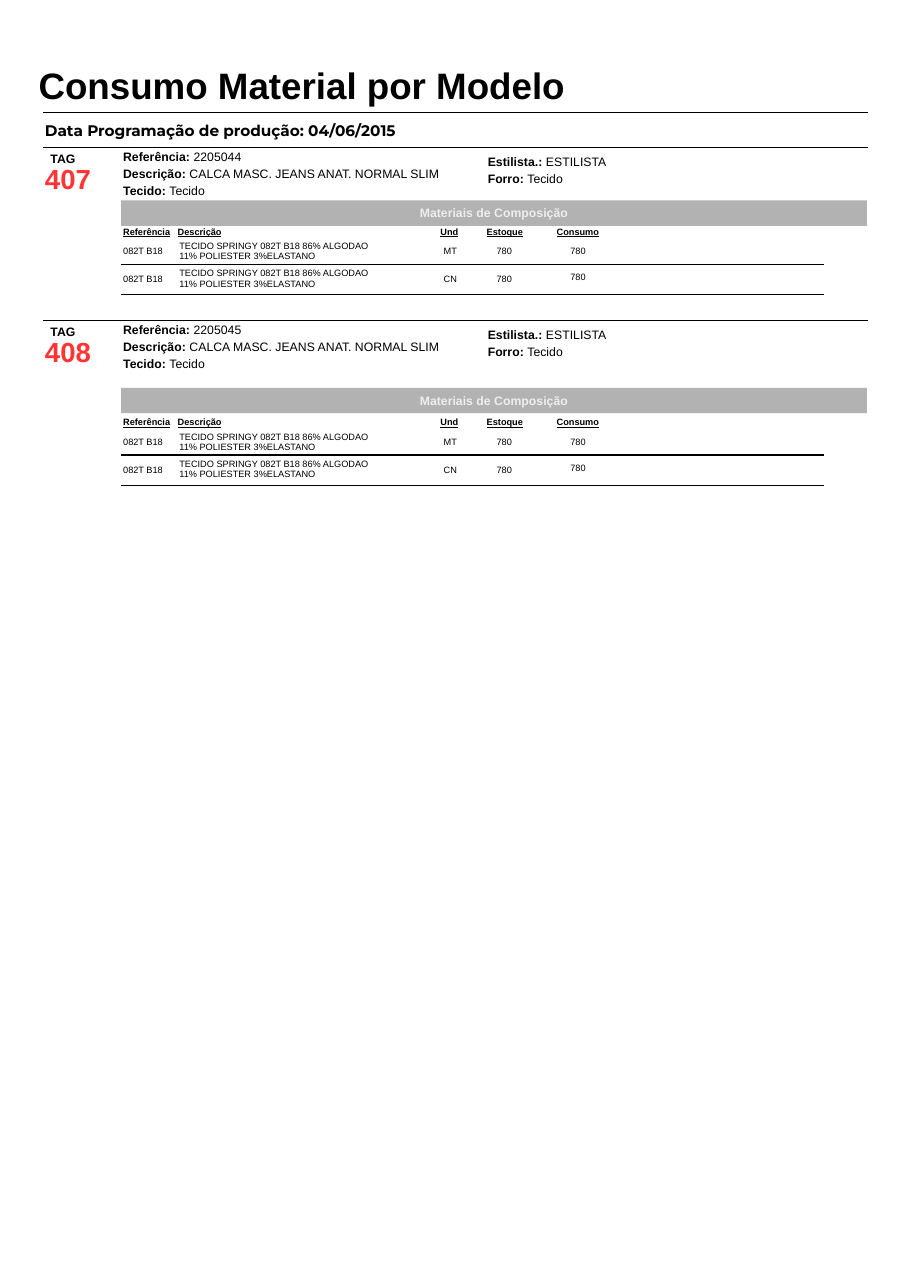
from pptx import Presentation
from pptx import util as u
from pptx.dml.color import RGBColor
from pptx.enum import shapes, text
from pptx.oxml.ns import qn
from lxml import etree

CELL = 0.1  # grid unit in inches: all places are columns and rows of it
PAGE_COLS, PAGE_ROWS = 82.7, 116.9
RULE_LEFT, RULE_RIGHT = 3.9, 78.8
TABLE_LEFT, TABLE_RIGHT = 11, 74.8
ROW_STEP = 2.5

TITLE = dict(name="Arial", size=u.Pt(24), bold=True)
DATE = dict(name="Montserrat", size=u.Pt(10), bold=True)
NUMBER = dict(name="Arial", size=u.Pt(18), bold=True)
LABEL = dict(name="Arial", size=u.Pt(8), bold=True)
VALUE = dict(LABEL, bold=False)
HEADING = dict(name="Arial", size=u.Pt(6), bold=True, underline=True)
ENTRY = dict(name="Arial", size=u.Pt(6))

HEADINGS = ["Referência", "Descrição", "Und", "Estoque", "Consumo"]
HEADING_STOPS = [4.95, 28.8, 33, 39.35]
FABRIC = "TECIDO SPRINGY 082T B18 86% ALGODAO 11% POLIESTER 3%ELASTANO"
UNITS = ["MT", "CN"]

# number, reference, top rule, bar offset, heading offset below the bar
MODELS = [
    ("407", "2205044", 13.4, 4.8, 1.9),
    ("408", "2205045", 29.1, 6.1, 2.2),
]


def grid(cells):
    return u.Inches(cells * CELL)


def colour(value):
    return RGBColor.from_string(value)


def write(frame, runs, inset_top=0.6, inset_side=1, ink="000000", stops=()):
    frame.margin_left = frame.margin_right = grid(inset_side)
    frame.margin_top, frame.margin_bottom = grid(inset_top), grid(0.5)
    line = frame.paragraphs[0]
    line.line_spacing = 0.93
    if stops:
        tabs = etree.SubElement(line._p.get_or_add_pPr(), qn("a:tabLst"))
        for stop in stops:
            etree.SubElement(tabs, qn("a:tab"), pos=str(grid(stop)), algn="l")
    for words, style in runs:
        run = line.add_run()
        run.text = words
        for key, setting in style.items():
            setattr(run.font, key, setting)
        run.font.color.rgb = colour(ink)
    return line


def add_words(slide, place, runs, wrap=True, **layout):
    box = slide.shapes.add_textbox(*map(grid, place))
    box.text_frame.word_wrap = wrap
    write(box.text_frame, runs, **layout)


def add_rule(slide, left, right, row):
    rule = slide.shapes.add_connector(
        shapes.MSO_CONNECTOR.STRAIGHT, grid(left), grid(row), grid(right), grid(row))
    rule.line.width = u.Pt(0.75)
    rule.line.color.rgb = colour("000000")
    etree.SubElement(rule._element.spPr, qn("a:effectLst"))


def add_bar(slide, row):
    bar = slide.shapes.add_shape(
        shapes.MSO_SHAPE.RECTANGLE, *map(grid, (TABLE_LEFT, row, 67.7, 2.3)))
    bar.shadow.inherit = False
    bar.fill.solid()
    bar.fill.fore_color.rgb = colour("B2B2B2")
    bar.line.fill.background()
    bar.text_frame.vertical_anchor = text.MSO_ANCHOR.TOP
    caption = write(bar.text_frame, [("Materiais de Composição", LABEL)], ink="EEEEEE")
    caption.alignment = text.PP_ALIGN.CENTER


def add_materials(slide, row):
    add_words(slide, (10.2, row, 46.5, 1.9), [("\t".join(HEADINGS), HEADING)],
              inset_top=0.5, stops=HEADING_STOPS)
    for index, unit in enumerate(UNITS):
        top = row + 1.8 + index * ROW_STEP
        # The second consumption figure sits slightly higher in its row
        entries = [
            ("082T B18", 10.2, top, 5.6),
            (unit, 39.3, top, 3.2),
            ("780", 44.1, top, 3.4),
            ("780", 50.8, top - 0.15 * index, 3.4),
        ]
        for words, column, entry_row, width in entries:
            add_words(slide, (column, entry_row, width, 1.9), [(words, ENTRY)],
                      wrap=False, inset_top=0.5)
        add_words(slide, (15.3, top - 0.5, 19.7, 2.8), [(FABRIC, ENTRY)], inset_top=0.5)
        add_rule(slide, TABLE_LEFT, TABLE_RIGHT, row + 3.9 + index * 2.75)


def add_model(slide, number, reference, top, bar_offset, heading_offset):
    add_rule(slide, RULE_LEFT, RULE_RIGHT, top)
    add_words(slide, (3.6, top, 4.3, 2.2), [("TAG", LABEL)], wrap=False, inset_top=0.5)
    add_words(slide, (3.1, top + 0.85, 7.9, 3.9), [(number, NUMBER)],
              inset_top=0.7, ink="FF3333")
    details = [
        ("Referência: ", reference, 10.2, -0.3, 13.4),
        ("Descrição: ", "CALCA MASC. JEANS ANAT. NORMAL SLIM", 10.2, 1.2, 34.6),
        ("Tecido: ", "Tecido", 10.2, 2.8, 13.4),
        ("Estilista.: ", "ESTILISTA", 43.3, 0.15, 33.9),
        ("Forro: ", "Tecido", 43.3, 1.65, 13.4),
    ]
    for label, value, column, offset, width in details:
        add_words(slide, (column, top + offset, width, 2.3),
                  [(label, LABEL), (value, VALUE)])
    add_bar(slide, top + bar_offset)
    add_materials(slide, top + bar_offset + heading_offset)


def main():
    deck = Presentation()
    deck.slide_width, deck.slide_height = grid(PAGE_COLS), grid(PAGE_ROWS)
    slide = deck.slides.add_slide(deck.slide_layouts[6])

    # Report heading
    add_words(slide, (3.5, 5.9, 48.4, 4.7), [("Consumo Material por Modelo", TITLE)],
              wrap=False, inset_top=0.2, inset_side=0)
    add_rule(slide, RULE_LEFT, RULE_RIGHT, 10.25)
    add_words(slide, (3.1, 10.6, 39.4, 2.3),
              [("Data Programação de produção: 04/06/2015", DATE)])

    # One section per model
    for model in MODELS:
        add_model(slide, *model)

    deck.save("out.pptx")


if __name__ == "__main__":
    main()
